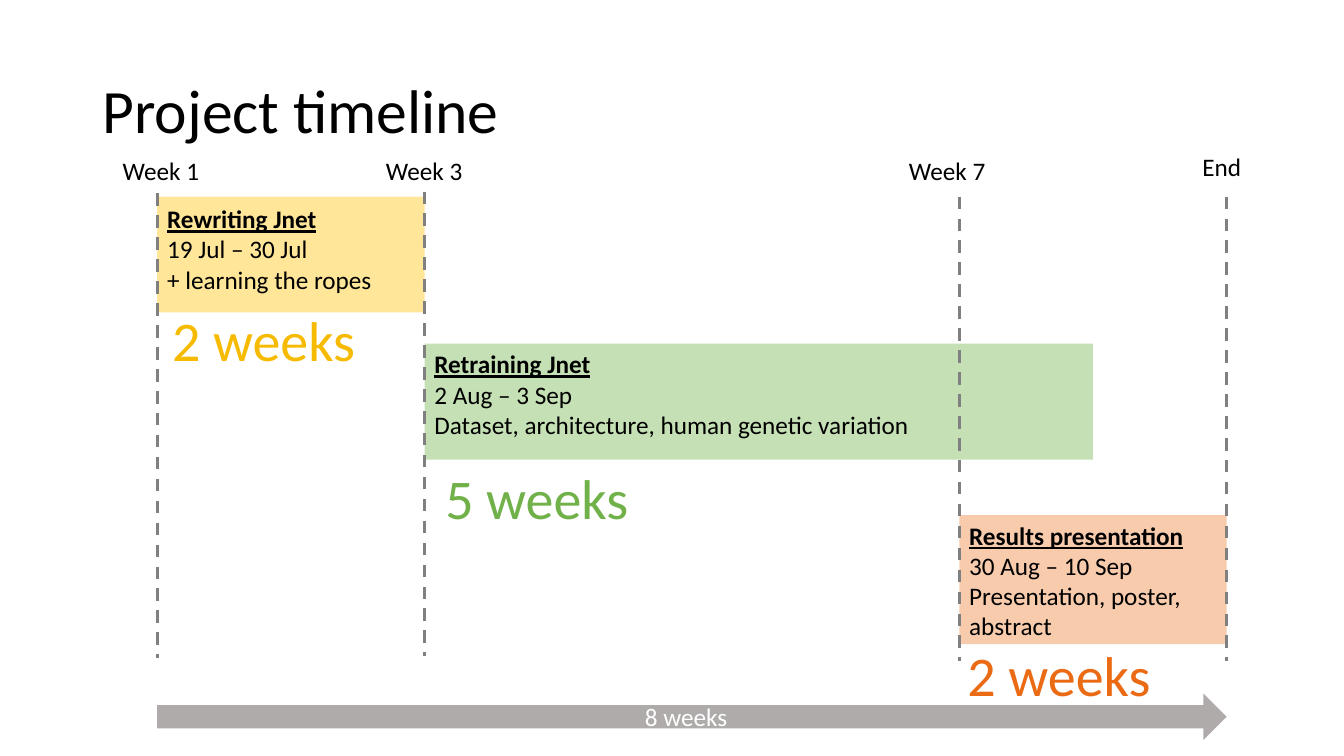
import pptx
import pptx.dml.color
import pptx.enum.dml
import pptx.enum.shapes
import pptx.enum.text
import pptx.oxml.ns
import pptx.util
from lxml import etree

Pt = pptx.util.Pt
ANCHOR = pptx.enum.text.MSO_ANCHOR
ALIGN = pptx.enum.text.PP_ALIGN
SHAPE = pptx.enum.shapes.MSO_SHAPE

COLORS = {
    "ink": "000000",
    "white": "FFFFFF",
    "marker": "808080",
    "arrow": "AFABAB",
    "rewriting": "FFE699",
    "rewriting_weeks": "F6BB00",
    "retraining": "C5E0B4",
    "retraining_weeks": "71B149",
    "results": "F8CBAD",
    "results_weeks": "EA6B14",
}
TIMELINE_LEFT = 112.3
WEEK = 95.48
TOTAL_WEEKS = 8
MARKER_HEIGHT = 332

MARKERS = [
    ("Week 1", 0, 138.2, (80.6, 107.3, 69.8)),
    ("Week 3", 2, 136.8, (268.6, 107.3, 69.8)),
    ("Week 7", 6, 140.4, (642.2, 107.3, 69.8)),
    ("End", 8, 140.4, (851.8, 104.4, 42.5)),
]
PHASES = [
    ("rewriting", 0, 2, 140.4, 82.8, 5, (115.9, 214.6),
     ["Rewriting Jnet", "19 Jul – 30 Jul", "+ learning the ropes"]),
    ("retraining", 2, 5, 245.5, 82.8, 3.6, (311, 327.6),
     ["Retraining Jnet", "2 Aug – 3 Sep", "Dataset, architecture, human genetic variation"]),
    ("results", 6, 2, 367.9, 92.2, 3.6, (684, 454.3),
     ["Results presentation", "30 Aug – 10 Sep", "Presentation, poster, abstract"]),
]


def rgb(name):
    return pptx.dml.color.RGBColor.from_string(COLORS[name])


def week_x(week):
    return TIMELINE_LEFT + week * WEEK


def write(shape, lines, size=18, color="ink", align=ALIGN.LEFT, anchor=ANCHOR.TOP,
          wrap=True, spacing=1.0, heading=False, inset_top=3.6):
    frame = shape.text_frame
    frame.word_wrap = wrap
    frame.vertical_anchor = anchor
    frame.margin_top = Pt(inset_top)
    for index, line in enumerate(lines):
        paragraph = frame.paragraphs[0] if index == 0 else frame.add_paragraph()
        paragraph.alignment = align
        paragraph.line_spacing = spacing
        run = paragraph.add_run()
        run.text = line
        run.font.name = "Calibri"
        run.font.size = Pt(size)
        run.font.color.rgb = rgb(color)
        run.font.bold = run.font.underline = heading and index == 0


def add_text(slide, box, text, **text_format):
    write(slide.shapes.add_textbox(*map(Pt, box)), [text], **text_format)


def add_block(slide, kind, box, fill):
    block = slide.shapes.add_shape(kind, *map(Pt, box))
    block.shadow.inherit = False
    block.fill.solid()
    block.fill.fore_color.rgb = rgb(fill)
    block.line.fill.background()
    return block


def add_phase(slide, box, name, lines, inset_top):
    bar = add_block(slide, SHAPE.RECTANGLE, box, name)
    write(bar, lines, heading=True, inset_top=inset_top)


def add_marker(slide, x, top):
    marker = slide.shapes.add_connector(
        pptx.enum.shapes.MSO_CONNECTOR.STRAIGHT, Pt(x), Pt(top), Pt(x), Pt(top + MARKER_HEIGHT))
    marker.line.color.rgb = rgb("marker")
    marker.line.width = Pt(2.25)
    marker.line.dash_style = pptx.enum.dml.MSO_LINE.DASH
    etree.SubElement(marker._element.spPr, pptx.oxml.ns.qn("a:effectLst"))


def add_total(slide, box):
    arrow = add_block(slide, SHAPE.RIGHT_ARROW, box, "arrow")
    write(arrow, [f"{TOTAL_WEEKS} weeks"], color="white", align=ALIGN.CENTER, anchor=ANCHOR.MIDDLE)


def build_timeline(slide):
    add_text(slide, (66.2, 28.8, 828, 104.4), "Project timeline",
             size=44, anchor=ANCHOR.MIDDLE, spacing=0.9)
    for name, start, weeks, top, height, inset_top, _, lines in PHASES:
        add_phase(slide, (week_x(start), top, weeks * WEEK, height), name, lines, inset_top)
    add_total(slide, (TIMELINE_LEFT, 495.4, TOTAL_WEEKS * WEEK, 33.1))
    for label, week, top, (left, label_top, width) in MARKERS:
        add_marker(slide, week_x(week), top)
        add_text(slide, (left, label_top, width, 29), label, wrap=False)
    for name, _, weeks, _, _, _, (left, top), _ in PHASES:
        add_text(slide, (left, top, 146.2, 55.4), f"{weeks} weeks",
                 size=40, color=f"{name}_weeks", wrap=False)


def main():
    deck = pptx.Presentation()
    deck.slide_width, deck.slide_height = Pt(960), Pt(540)
    build_timeline(deck.slides.add_slide(deck.slide_layouts[6]))
    deck.save("out.pptx")


if __name__ == "__main__":
    main()
